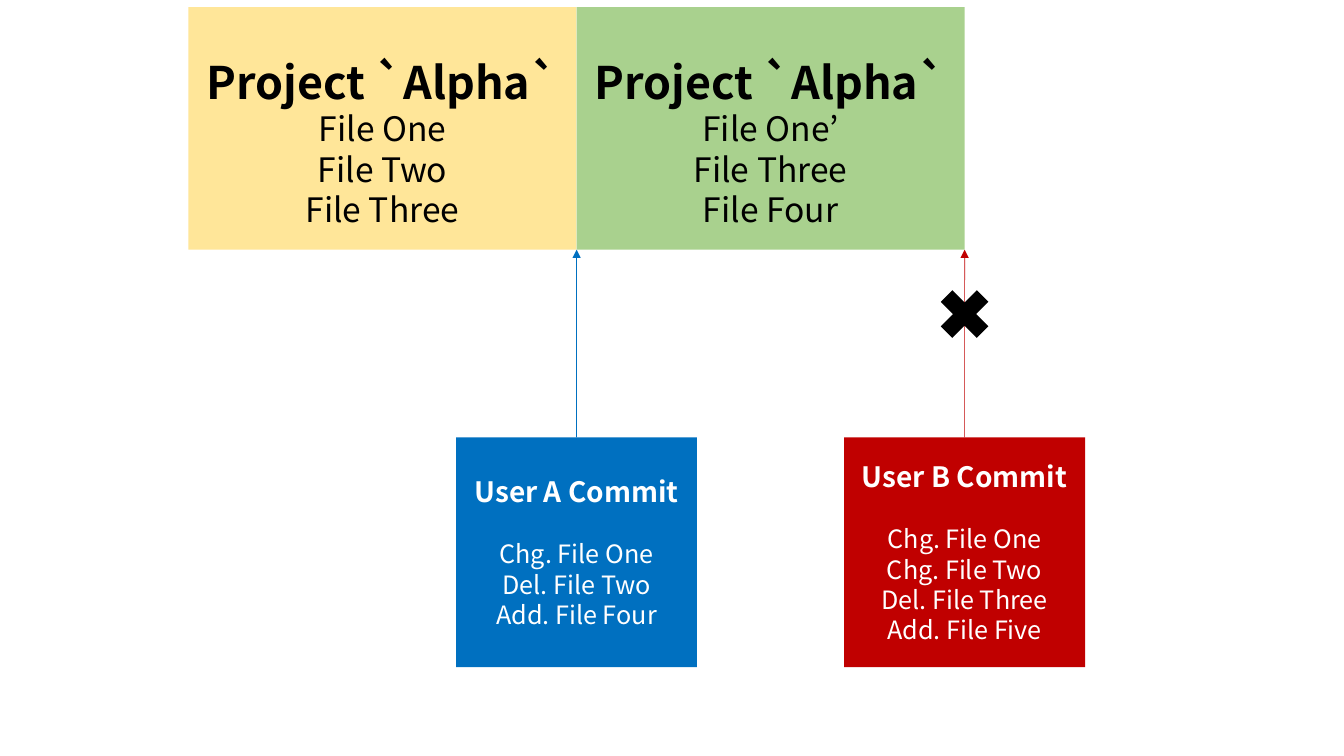
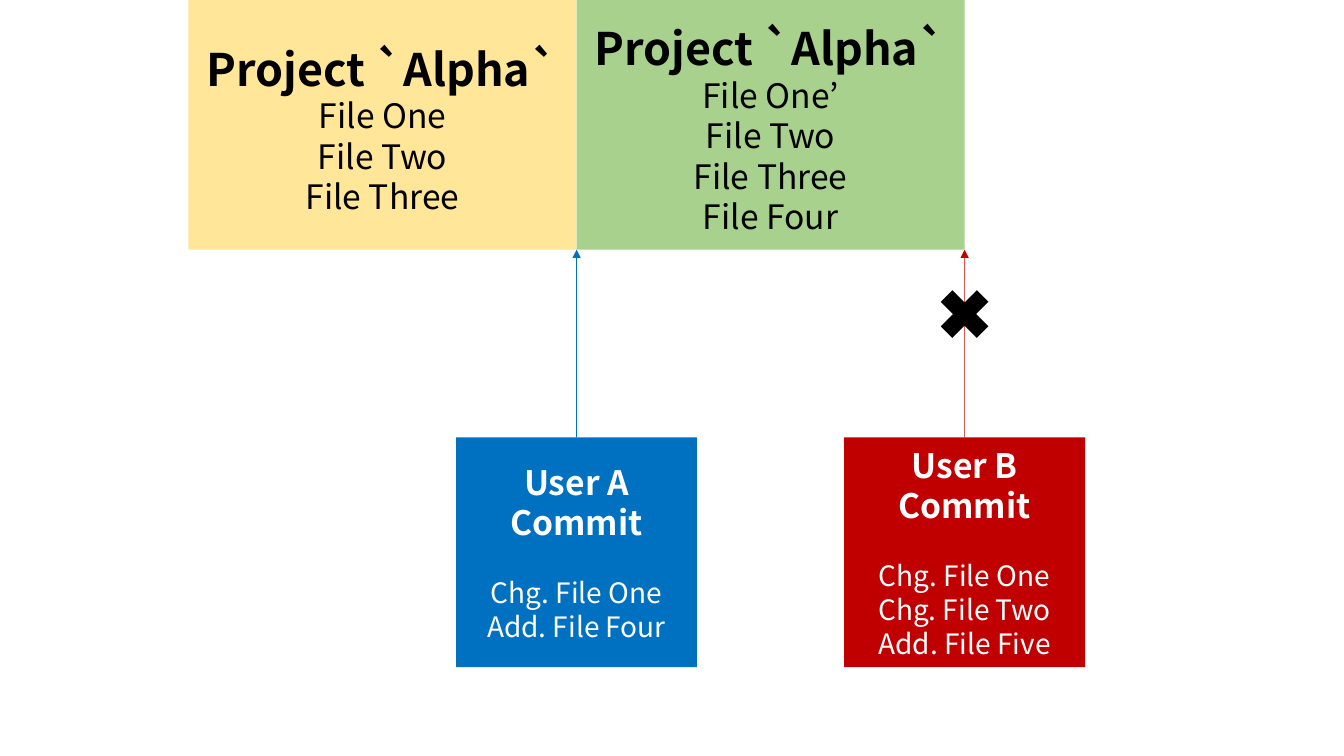
"""Build two slides on conflicting user commits to a shared project."""
from lxml import etree
from pptx import Presentation
from pptx import util as u
from pptx.dml.color import RGBColor
from pptx.enum import shapes, text
from pptx.oxml.ns import qn

BLACK = RGBColor(0x00, 0x00, 0x00)
WHITE = RGBColor(0xFF, 0xFF, 0xFF)
YELLOW = RGBColor(0xFF, 0xE6, 0x99)
GREEN = RGBColor(0xA9, 0xD1, 0x8E)
BLUE = RGBColor(0x00, 0x70, 0xC0)
RED = RGBColor(0xC0, 0x00, 0x00)

PROJECT_LEFT, PROJECT_WIDTH, PROJECT_BOTTOM = 4.75, 9.78, 6.29
COMMIT_TOP, COMMIT_WIDTH, COMMIT_HEIGHT = 11.02, 6.07, 5.79
CROSS_TOP, CROSS_SIZE = 7.04, 1.75
BLANK_LAYOUT = 6


class CommitDeck:
    """Hold the shared style and the current slide."""

    font = "Noto Sans CJK KR"

    def __init__(self):
        self.presentation = Presentation()
        self.presentation.slide_width = u.Cm(33.87)
        self.presentation.slide_height = u.Cm(19.05)
        self.slide = None

    def new_slide(self):
        """Start a blank slide."""
        layout = self.presentation.slide_layouts[BLANK_LAYOUT]
        self.slide = self.presentation.slides.add_slide(layout)

    def version_edge(self, version):
        """Return the left edge of a project version, counted from zero."""
        return PROJECT_LEFT + version * PROJECT_WIDTH

    def block(self, preset, left, top, width, height, fill):
        """Add a plain filled shape."""
        shape = self.slide.shapes.add_shape(
            preset, u.Cm(left), u.Cm(top), u.Cm(width), u.Cm(height))
        shape.shadow.inherit = False
        shape.fill.solid()
        shape.fill.fore_color.rgb = fill
        shape.line.fill.background()
        return shape

    def label(self, shape, heading, details, heading_size, detail_size, color):
        """Set a bold heading and its details; return their paragraphs."""
        frame = shape.text_frame
        frame.word_wrap = True
        frame.vertical_anchor = text.MSO_ANCHOR.MIDDLE
        frame.text = "\n".join([heading, *details])
        for index, paragraph in enumerate(frame.paragraphs):
            paragraph.alignment = text.PP_ALIGN.CENTER
            paragraph.font.name = self.font
            paragraph.font.size = u.Pt(detail_size if index else heading_size)
            paragraph.font.bold = index == 0
            paragraph.font.color.rgb = color
        return frame.paragraphs

    def project(self, version, top, fill, files):
        """Add one version of the project with its files."""
        box = self.block(shapes.MSO_SHAPE.RECTANGLE, self.version_edge(version),
                         top, PROJECT_WIDTH, PROJECT_BOTTOM - top, fill)
        lines = self.label(box, "Project `Alpha`", files, 32, 24, BLACK)
        lines[0].line_spacing = 1.5

    def commit(self, version, user, fill, changes, heading_size, detail_size):
        """Add a commit box with an arrow up to the end of a version."""
        center = self.version_edge(version)
        box = self.block(shapes.MSO_SHAPE.RECTANGLE, center - COMMIT_WIDTH / 2,
                         COMMIT_TOP, COMMIT_WIDTH, COMMIT_HEIGHT, fill)
        lines = self.label(box, f"User {user} Commit", changes,
                           heading_size, detail_size, WHITE)
        lines[1].space_before = u.Pt(1.2 * detail_size)
        self.arrow(box, center, fill)

    def arrow(self, source, x, color):
        """Add an arrow from the top of a box to the project row."""
        arrow = self.slide.shapes.add_connector(
            shapes.MSO_CONNECTOR.STRAIGHT, u.Cm(x), u.Cm(COMMIT_TOP),
            u.Cm(x), u.Cm(PROJECT_BOTTOM))
        arrow.begin_connect(source, 0)
        arrow.line.color.rgb = color
        arrow.line.width = u.Pt(0.5)
        properties = arrow.element.spPr
        outline = properties.find(qn("a:ln"))
        etree.SubElement(outline, qn("a:tailEnd"), type="triangle")
        etree.SubElement(properties, qn("a:effectLst"))

    def rejection(self, version):
        """Cross out the arrow to the end of a version."""
        self.block(shapes.MSO_SHAPE.MATH_MULTIPLY,
                   self.version_edge(version) - CROSS_SIZE / 2,
                   CROSS_TOP, CROSS_SIZE, CROSS_SIZE, BLACK)

    def conflict(self, top, before, after, changes_a, changes_b, sizes):
        """Add a slide where the commit of user B is rejected."""
        self.new_slide()
        self.project(0, top, YELLOW, before)
        self.commit(1, "A", BLUE, changes_a, *sizes)
        self.commit(2, "B", RED, changes_b, *sizes)
        self.project(1, top, GREEN, after)
        self.rejection(2)


def main():
    deck = CommitDeck()
    original_files = ["File One", "File Two", "File Three"]
    deck.conflict(
        0.18, original_files,
        ["File One’", "File Three", "File Four"],
        ["Chg. File One", "Del. File Two", "Add. File Four"],
        ["Chg. File One", "Chg. File Two", "Del. File Three", "Add. File Five"],
        (20, 18))
    deck.conflict(
        -0.48, original_files,
        ["File One’", "File Two", "File Three", "File Four"],
        ["Chg. File One", "Add. File Four"],
        ["Chg. File One", "Chg. File Two", "Add. File Five"],
        (24, 20))
    deck.presentation.save("out.pptx")


if __name__ == "__main__":
    main()
